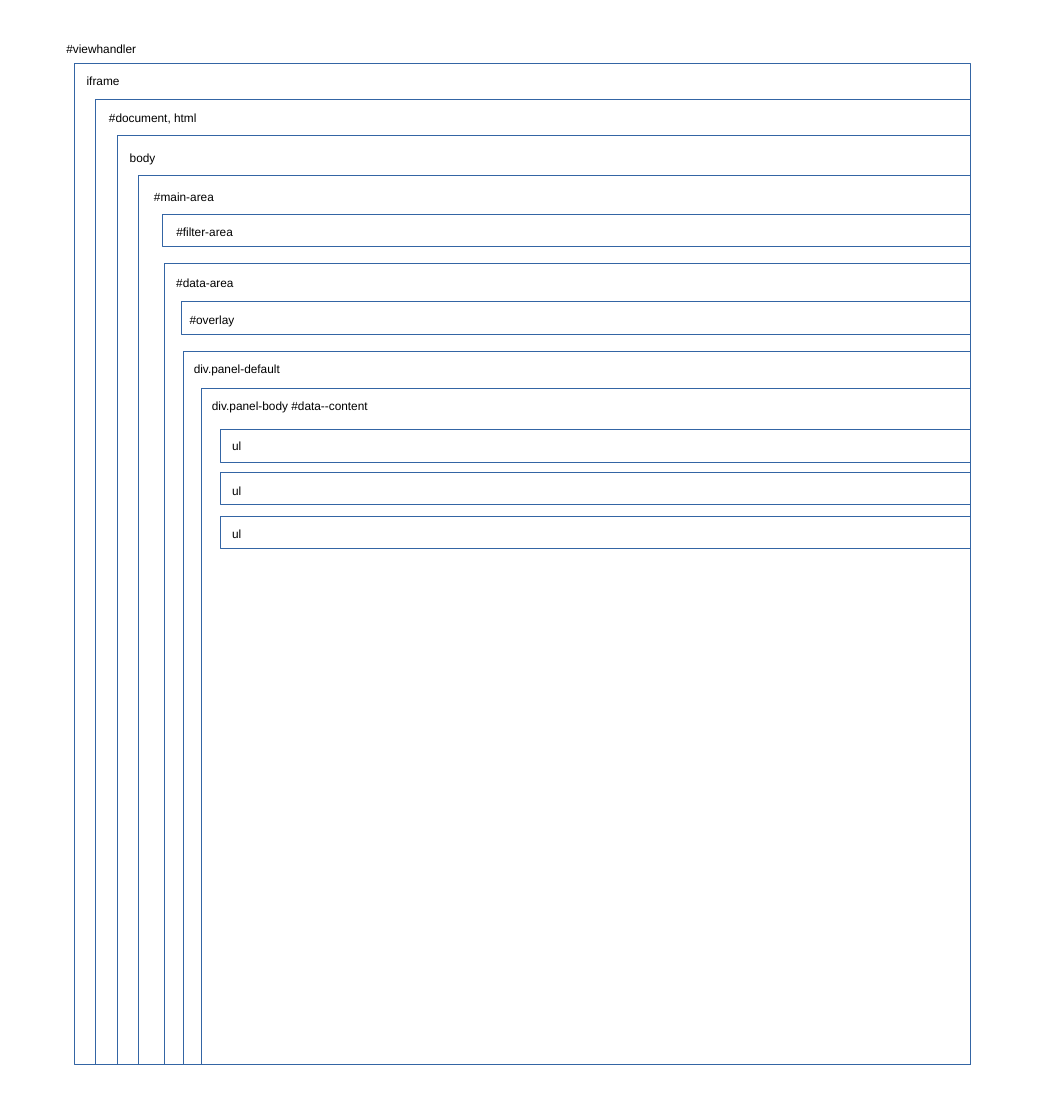
from pptx import Presentation
from pptx import util as u
from pptx.dml.color import RGBColor
from pptx.enum import shapes, text

HUES = {"line": "3465A4", "fill": "FFFFFF", "text": "000000"}
FONT, SIZE = "Arial", 18
TEXT_H = 27.4
BAR = 49   # height of a closed bar
OPEN = 0   # frame runs down to the bottom of the page box
PAGE = (113, 96.5, 1360.8, 1519.2)

# label, frame left and top in the page box, frame height,
# label left and top in the frame, label width
FRAMES = [
    ("iframe", 0, 0, OPEN, 11.5, 12.2, 66),
    ("#document, html", 31.7, 54, OPEN, 13.7, 13.7, 150),
    ("body", 65.5, 109.4, OPEN, 11.5, 19.4, 55),
    ("#main-area", 96.5, 169.9, OPEN, 17.3, 17.3, 107),
    ("#filter-area", 134, 228.2, BAR, 13.7, 13, 102),
    ("#data-area", 136.1, 303.1, OPEN, 11.5, 15.1, 104),
    ("#overlay", 162, 361.4, BAR, 5.8, 13, 84),
    ("div.panel-default", 164.9, 436.3, OPEN, 9.4, 12.2, 147),
    ("div.panel-body #data--content", 193.2, 493.2, OPEN, 8.6, 12.2, 253),
    ("ul", 221.8, 555.8, BAR, 10.8, 10.8, 30),
    ("ul", 221.8, 620.6, BAR, 10.8, 14.4, 30),
    ("ul", 221.8, 687.6, BAR, 10.8, 12.2, 30),
]


def hue(name):
    return RGBColor.from_string(HUES[name])


def points(box):
    return [u.Pt(n) for n in box]


def write(shape, words):
    """Set one line of left-aligned text in a shape that fits it."""
    frame = shape.text_frame
    frame.word_wrap = False
    frame.auto_size = text.MSO_AUTO_SIZE.SHAPE_TO_FIT_TEXT
    frame.vertical_anchor = text.MSO_ANCHOR.TOP
    frame.margin_left = frame.margin_right = u.Pt(7.2)
    frame.margin_top = frame.margin_bottom = u.Pt(3.6)
    para = frame.paragraphs[0]
    para.alignment = text.PP_ALIGN.LEFT
    para.space_before = u.Pt(0)
    run = para.add_run()
    run.text = words
    run.font.name = FONT
    run.font.size = u.Pt(SIZE)
    run.font.color.rgb = hue("text")


def add_title(slide, box, words):
    title = slide.shapes.title
    title.left, title.top, title.width, title.height = points(box)
    write(title, words)


def add_frame(slide, box, label, dx, dy, wide):
    """Draw an outlined box with its label offset from the top left."""
    rect = slide.shapes.add_shape(
        shapes.MSO_SHAPE.FLOWCHART_PROCESS, *points(box))
    rect.shadow.inherit = False
    rect.fill.solid()
    rect.fill.fore_color.rgb = hue("fill")
    rect.line.color.rgb = hue("line")
    rect.line.width = u.Pt(0)
    place = (box[0] + dx, box[1] + dy, wide, TEXT_H)
    write(slide.shapes.add_textbox(*points(place)), label)


def add_nest(slide, box):
    """Nest all frames in the box, flush with its right edge."""
    left, top, width, height = box
    for label, x, y, high, dx, dy, wide in FRAMES:
        area = (left + x, top + y, width - x, high or height - y)
        add_frame(slide, area, label, dx, dy, wide)


def main():
    deck = Presentation()
    deck.slide_width, deck.slide_height = u.Pt(1587.4), u.Pt(1700.79)
    slide = deck.slides.add_slide(deck.slide_layouts.get_by_name("Title Only"))
    add_title(slide, (93.6, 59.8, 123, TEXT_H), "#viewhandler")
    add_nest(slide, PAGE)
    deck.save("out.pptx")


if __name__ == "__main__":
    main()
